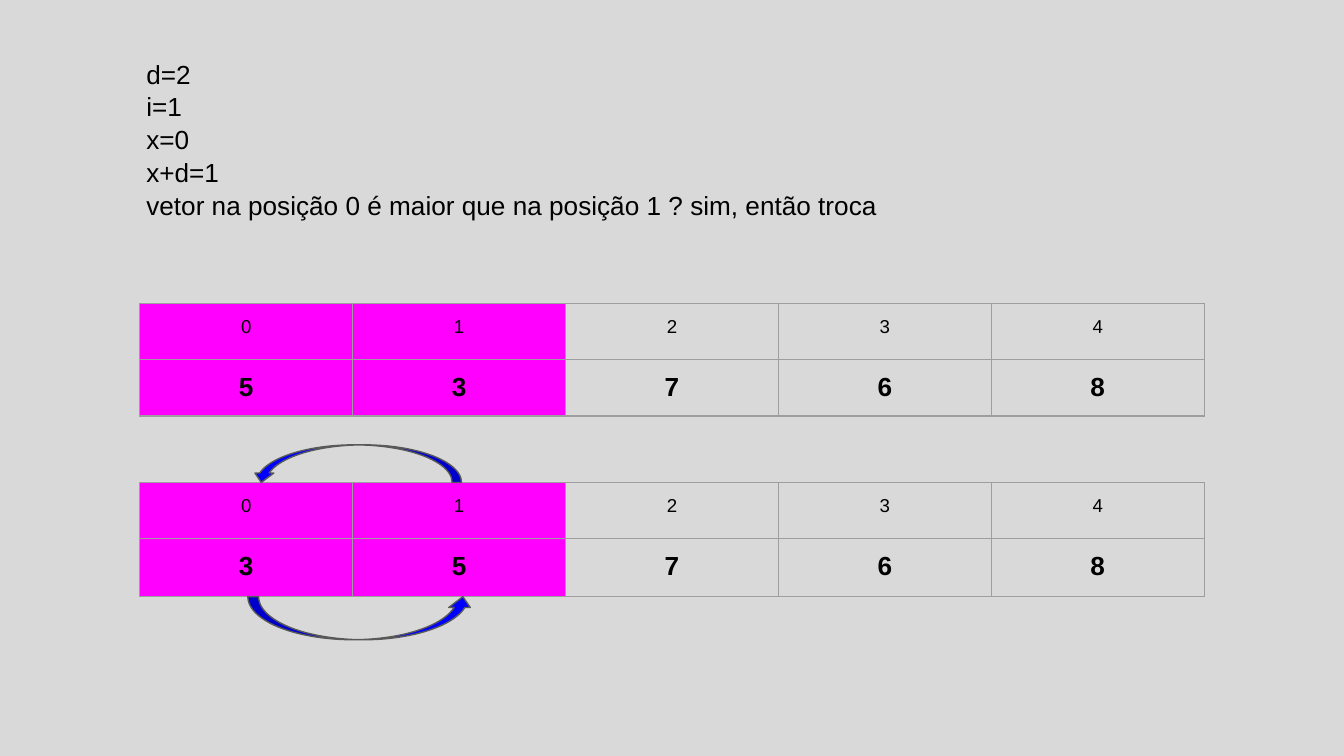
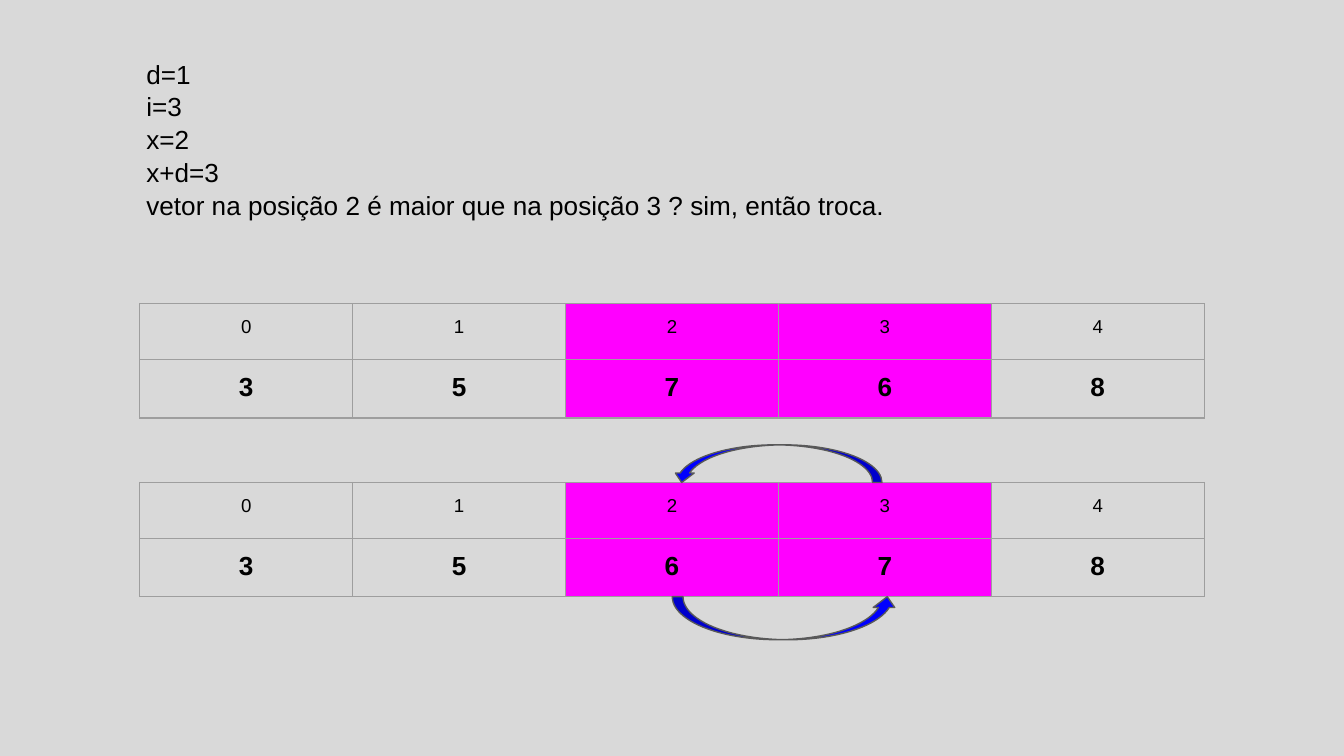
from dataclasses import dataclass

from lxml.etree import SubElement
from pptx import Presentation
from pptx.dml.color import RGBColor
from pptx.enum.shapes import MSO_SHAPE
from pptx.enum.text import PP_ALIGN
from pptx.oxml.ns import qn
from pptx.slide import Slide
from pptx.table import _Cell
from pptx.text.text import TextFrame
from pptx.util import Inches, Pt

BACKGROUND = RGBColor(0xD9, 0xD9, 0xD9)
HIGHLIGHT = RGBColor(0xFF, 0x00, 0xFF)
ARROW_BLUE = RGBColor(0x00, 0x00, 0xFF)
ARROW_OUTLINE = RGBColor(0x59, 0x59, 0x59)
GRID_GREY = RGBColor(0x9E, 0x9E, 0x9E)
BLACK = RGBColor(0x00, 0x00, 0x00)
FONT = "Arial"

SLIDE_WIDTH, SLIDE_HEIGHT = Inches(10), Inches(5.625)
PADDING = Inches(0.1)
LINE_WIDTH = Pt(0.75)

# Array grid
GRID_LEFT = Inches(1.04)
COLUMN = Inches(7.92 / 5)
ROW = Inches(0.417)
BEFORE_TOP, AFTER_TOP = Inches(2.26), Inches(3.59)


@dataclass(frozen=True)
class SwapArrow:
    thickness: float
    span: float
    center_y: float
    rotation: int


SWAP_ARROWS = (
    SwapArrow(thickness=0.28, span=1.56, center_y=3.45, rotation=90),
    SwapArrow(thickness=0.32, span=1.68, center_y=4.6, rotation=270),
)


@dataclass(frozen=True)
class SwapStep:
    distance: int
    i: int
    x: int
    values: tuple[int, ...]
    arrow_shifts: tuple[float, float]
    ending: str = ""

    @property
    def pair(self) -> tuple[int, int]:
        return self.x, self.x + 1

    @property
    def swapped(self) -> list[int]:
        result = list(self.values)
        left, right = self.pair
        result[left], result[right] = result[right], result[left]
        return result

    @property
    def explanation(self) -> list[str]:
        left, right = self.pair
        return [
            f"d={self.distance}",
            f"i={self.i}",
            f"x={self.x}",
            f"x+d={right}",
            f"vetor na posição {left} é maior que na posição {right} ? "
            f"sim, então troca{self.ending}",
        ]


STEPS = (
    SwapStep(2, 1, 0, (5, 3, 7, 6, 8), arrow_shifts=(0.03, 0.06)),
    SwapStep(1, 3, 2, (3, 5, 7, 6, 8), arrow_shifts=(-0.01, 0.05), ending="."),
)


def write_text(frame: TextFrame, lines: list[str], *, size: int = 14,
               bold: bool = False, align: PP_ALIGN = PP_ALIGN.LEFT,
               spacing: float = 1.0) -> None:
    frame.word_wrap = True
    for index, line in enumerate(lines):
        paragraph = frame.paragraphs[0] if index == 0 else frame.add_paragraph()
        paragraph.alignment = align
        paragraph.line_spacing = spacing
        run = paragraph.add_run()
        run.text = line
        run.font.name = FONT
        run.font.size = Pt(size)
        run.font.bold = bold
        run.font.color.rgb = BLACK


def add_borders(cell: _Cell) -> None:
    properties = cell._tc.get_or_add_tcPr()
    for side in ("a:lnL", "a:lnR", "a:lnT", "a:lnB"):
        line = SubElement(properties, qn(side), w=str(LINE_WIDTH))
        fill = SubElement(line, qn("a:solidFill"))
        SubElement(fill, qn("a:srgbClr"), val=str(GRID_GREY))


def add_array(slide: Slide, top: int, values: list[int],
              pair: tuple[int, int]) -> None:
    """Draw the indices above the values and highlight the compared pair."""
    count = len(values)
    table = slide.shapes.add_table(
        2, count, GRID_LEFT, top, COLUMN * count, ROW * 2).table
    table.first_row = table.horz_banding = False
    for row, numbers in enumerate((range(count), values)):
        table.rows[row].height = ROW
        for column, number in enumerate(numbers):
            cell = table.cell(row, column)
            cell.margin_left = cell.margin_right = PADDING
            cell.margin_top = cell.margin_bottom = PADDING
            write_text(cell.text_frame, [str(number)], size=(10, 14)[row],
                       bold=row == 1, align=PP_ALIGN.CENTER)
            add_borders(cell)
            if column in pair:
                cell.fill.solid()
                cell.fill.fore_color.rgb = HIGHLIGHT
            else:
                cell.fill.background()
    for column in table.columns:
        column.width = COLUMN


def add_swap_arrow(slide: Slide, arrow: SwapArrow, center_x: int) -> None:
    width, height = Inches(arrow.thickness), Inches(arrow.span)
    shape = slide.shapes.add_shape(
        MSO_SHAPE.CURVED_RIGHT_ARROW, center_x - width // 2,
        Inches(arrow.center_y) - height // 2, width, height)
    shape.rotation = arrow.rotation
    for index, adjustment in enumerate((0.25, 0.5, 0.25)):
        shape.adjustments[index] = adjustment
    shape.shadow.inherit = False
    shape.fill.solid()
    shape.fill.fore_color.rgb = ARROW_BLUE
    shape.line.color.rgb = ARROW_OUTLINE
    shape.line.width = LINE_WIDTH


def add_explanation(slide: Slide, lines: list[str]) -> None:
    frame = slide.shapes.add_textbox(
        Inches(0.99), Inches(0.32), Inches(8.02), Inches(0.94)).text_frame
    frame.margin_left = frame.margin_right = PADDING
    frame.margin_top = frame.margin_bottom = PADDING
    write_text(frame, lines, spacing=1.05)


def add_step(deck: Presentation, step: SwapStep) -> None:
    slide = deck.slides.add_slide(deck.slide_layouts.get_by_name("Blank"))
    slide.background.fill.solid()
    slide.background.fill.fore_color.rgb = BACKGROUND
    add_array(slide, BEFORE_TOP, list(step.values), step.pair)
    add_explanation(slide, step.explanation)
    add_array(slide, AFTER_TOP, step.swapped, step.pair)
    pair_center = GRID_LEFT + COLUMN * (step.x + 1)
    for arrow, shift in zip(SWAP_ARROWS, step.arrow_shifts):
        add_swap_arrow(slide, arrow, pair_center + Inches(shift))


def main() -> None:
    deck = Presentation()
    deck.slide_width, deck.slide_height = SLIDE_WIDTH, SLIDE_HEIGHT
    for step in STEPS:
        add_step(deck, step)
    deck.save("out.pptx")


if __name__ == "__main__":
    main()
